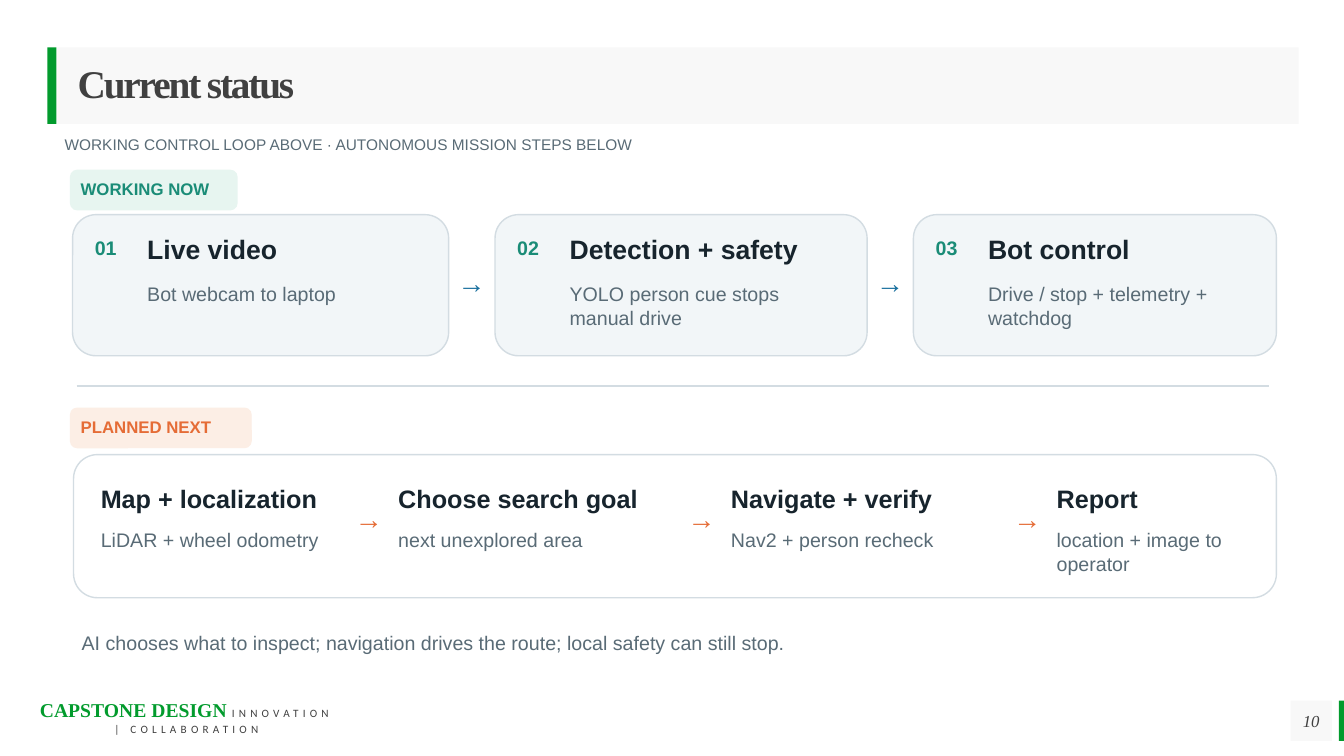
from pptx import Presentation
from pptx.dml.color import RGBColor
from pptx.enum.shapes import MSO_CONNECTOR, MSO_SHAPE
from pptx.enum.text import MSO_ANCHOR, MSO_AUTO_SIZE, PP_ALIGN
from pptx.oxml.ns import qn
from pptx.util import Inches, Pt
from lxml import etree

RECT, ROUND = MSO_SHAPE.RECTANGLE, MSO_SHAPE.ROUNDED_RECTANGLE
TOP, MIDDLE = MSO_ANCHOR.TOP, MSO_ANCHOR.MIDDLE
LEFT, CENTER = PP_ALIGN.LEFT, PP_ALIGN.CENTER
GROW, FIXED = MSO_AUTO_SIZE.SHAPE_TO_FIT_TEXT, MSO_AUTO_SIZE.NONE

GREEN = RGBColor(0x02, 0x9B, 0x2D)
DARK = RGBColor(0x40, 0x40, 0x40)
PALE = RGBColor(0xF2, 0xF2, 0xF2)
WHITE = RGBColor(0xFF, 0xFF, 0xFF)
INK = RGBColor(0x17, 0x24, 0x2D)
GRAY = RGBColor(0x59, 0x6B, 0x76)
EDGE = RGBColor(0xD3, 0xDC, 0xE2)
CARD = RGBColor(0xF2, 0xF6, 0xF8)
TEAL = RGBColor(0x1A, 0x8C, 0x77)
MINT = RGBColor(0xE7, 0xF5, 0xF0)
BLUE = RGBColor(0x18, 0x6F, 0x9E)
ORANGE = RGBColor(0xE5, 0x6C, 0x36)
PEACH = RGBColor(0xFC, 0xEE, 0xE5)

SERIF = "Times New Roman"
BODY = dict(size=Pt(14), color=GRAY)
ARROW = dict(size=Pt(20), bold=True)

deck = Presentation()
deck.slide_width, deck.slide_height = Inches(13.33), Inches(7.5)
slide = deck.slides.add_slide(deck.slide_layouts[5])
shapes = slide.shapes


def block(kind, at, fill, line=None):
    """Add a filled preset shape without a shadow."""
    shape = shapes.add_shape(kind, *map(Inches, at))
    shape.shadow.inherit = False
    shape.fill.solid()
    shape.fill.fore_color.rgb = fill
    if line is None:
        shape.line.fill.background()
    else:
        shape.line.color.rgb = line
        shape.line.width = Pt(1)
    return shape


def write(spot, *runs, pad=(0.02,) * 4, fit=GROW, anchor=TOP, **form):
    """Write (text, look) runs into a shape, or a new text box at spot."""
    if isinstance(spot, tuple):
        spot = shapes.add_textbox(*map(Inches, spot))
    frame = spot.text_frame
    frame.word_wrap, frame.auto_size = True, fit
    frame.vertical_anchor = anchor
    for side, gap in zip(("left", "top", "right", "bottom"), pad):
        setattr(frame, "margin_" + side, Inches(gap))
    para = frame.paragraphs[0]
    for key, value in {"alignment": LEFT, **form}.items():
        setattr(para, key, value)
    for words, look in runs:
        run = para.add_run()
        run.text = words
        for key, value in {"name": "Arial", "bold": False, **look}.items():
            if key == "color":
                run.font.color.rgb = value
            elif key == "track":
                run.font._element.set("spc", str(value))
            else:
                setattr(run.font, key, value)


# Title bar and page number
block(RECT, (0.47, 0.47, 0.09, 0.76), GREEN)
title = shapes.title
title.left, title.top, title.width, title.height = map(
    Inches, (0.57, 0.47, 12.31, 0.76))
title.fill.solid()
title.fill.fore_color.rgb = PALE
write(title, ("Current status", dict(
    size=Pt(28), name=SERIF, color=DARK, bold=True, track=-150)),
    pad=(0.2, 0, 0, 0), fit=FIXED, anchor=MIDDLE, line_spacing=0.9)
page = block(RECT, (12.8, 6.95, 0.41, 0.4), PALE)
write(page, ("10", dict(size=Pt(12), name=SERIF, color=DARK, italic=True)),
      pad=(0,) * 4, fit=FIXED, anchor=MIDDLE, alignment=CENTER)
for shape in (title, page):
    tint = shape._element.spPr.find(qn("a:solidFill"))[0]
    etree.SubElement(tint, qn("a:alpha")).set("val", "50000")

# Footer
block(RECT, (13.28, 6.95, 0.05, 0.4), GREEN)
write((0.27, 6.9, 3.16, 0.45),
      ("CAPSTONE DESIGN ",
       dict(size=Pt(14), name=SERIF, color=GREEN, bold=True)),
      ("INNOVATION | COLLABORATION",
       dict(size=Pt(8), name="Calibri", color=DARK, track=300)),
      pad=(0.1, 0.12, 0.1, 0.05), alignment=CENTER, line_spacing=Pt(10))

# Subtitle and closing line
write((0.62, 1.32, 11.9, 0.24),
      ("WORKING CONTROL LOOP ABOVE · AUTONOMOUS MISSION STEPS BELOW",
       dict(size=Pt(11), color=GRAY)))
write((0.79, 6.24, 11.8, 0.33),
      ("AI chooses what to inspect; navigation drives the route; "
       "local safety can still stop.", BODY))

# Section tags
for words, y, wide, fill, tone in (
        ("WORKING NOW", 1.69, 1.65, MINT, TEAL),
        ("PLANNED NEXT", 4.05, 1.79, PEACH, ORANGE)):
    block(ROUND, (0.7, y, wide, 0.39), fill, fill)
    write((0.78, y + 0.06, wide - 0.16, 0.27),
          (words, dict(size=Pt(12), color=tone, bold=True)))

# Working cards
cards = (
    (0.72, 3.73, "Live video", "Bot webcam to laptop"),
    (4.91, 3.69, "Detection + safety", "YOLO person cue stops manual drive"),
    (9.06, 3.6, "Bot control", "Drive / stop + telemetry + watchdog"),
)
for num, (x, wide, head, info) in enumerate(cards, 1):
    block(ROUND, (x, 2.13, wide, 1.4), CARD, EDGE)
    write((x + 0.2, 2.32, 0.5, 0.29),
          (f"{num:02}", dict(size=Pt(14), color=TEAL, bold=True)))
    write((x + 0.72, 2.29, wide - 0.94, 0.41),
          (head, dict(size=Pt(19), color=INK, bold=True)))
    write((x + 0.72, 2.78, wide - 0.93, 0.63), (info, BODY))
    if num > 1:
        write((x - 0.39, 2.61, 0.3, 0.35), ("→", dict(ARROW, color=BLUE)))

# Divider
rule = shapes.add_connector(MSO_CONNECTOR.STRAIGHT, *map(
    Inches, (0.76, 3.83, 12.59, 3.83)))
rule.line.color.rgb = EDGE
rule.line.width = Pt(1.5)
etree.SubElement(rule._element.spPr, qn("a:effectLst"))

# Planned steps
block(ROUND, (0.73, 4.51, 11.93, 1.42), WHITE, EDGE)
steps = (
    (0.98, 2.5, "Map + localization", "LiDAR + wheel odometry"),
    (3.93, 2.73, "Choose search goal", "next unexplored area"),
    (7.23, 2.7, "Navigate + verify", "Nav2 + person recheck"),
    (10.46, 1.9, "Report", "location + image to operator"),
)
for num, (x, wide, head, info) in enumerate(steps):
    write((x, 4.77, wide, 0.39),
          (head, dict(size=Pt(18), color=INK, bold=True)))
    write((x, 5.22, wide, 0.33), (info, BODY))
    if num:
        write((x - 0.43, 4.96, 0.3, 0.35), ("→", dict(ARROW, color=ORANGE)))

deck.save("out.pptx")
